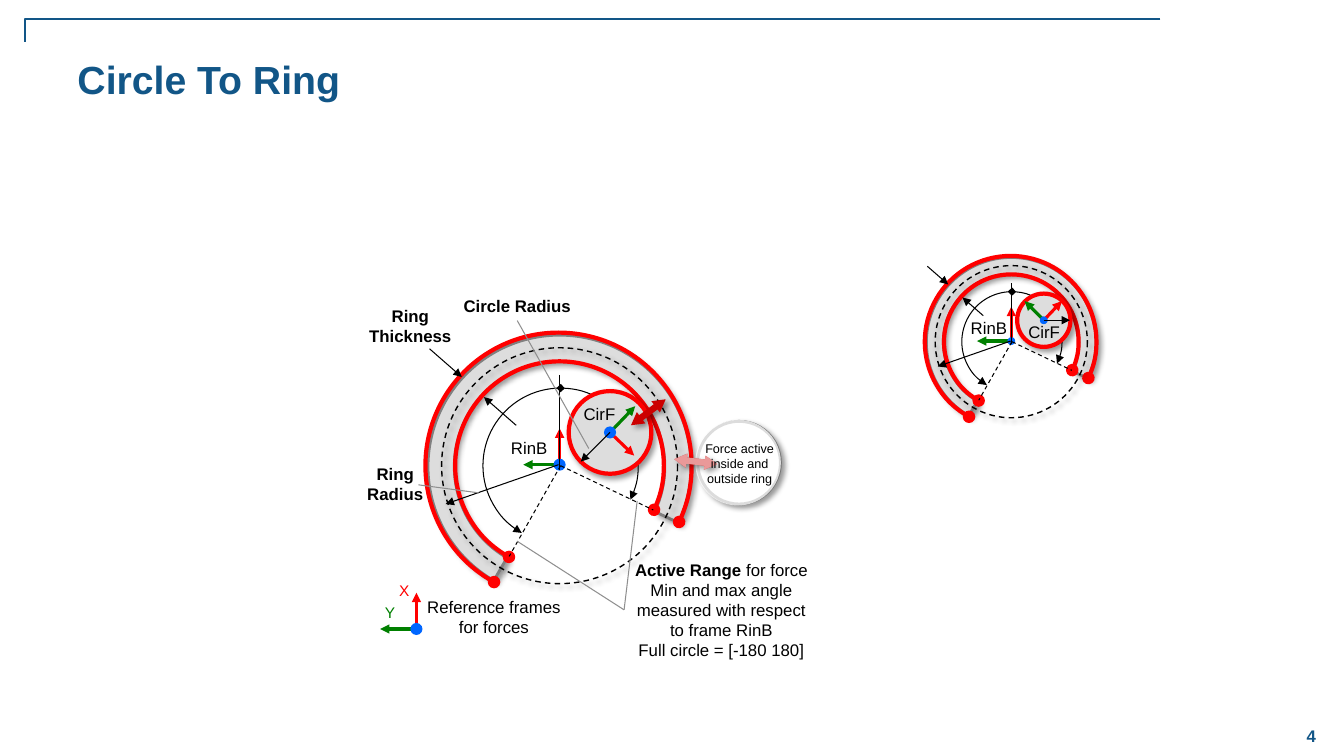
from pptx import Presentation
from pptx.dml.color import RGBColor
from pptx.enum.dml import MSO_LINE
from pptx.enum.shapes import MSO_CONNECTOR, MSO_SHAPE as Shape
from pptx.enum.text import MSO_ANCHOR as Anchor, PP_ALIGN as Align
from pptx.oxml import parse_xml
from pptx.oxml.ns import nsdecls, qn
from pptx.util import Inches, Pt

COLORS = {
    "navy": "125687", "black": "000000", "white": "FFFFFF", "red": "FF0000",
    "green": "008000", "blue": "0066FF", "gray": "DDDDDD", "edge": "808080",
    "ghost": "777777", "leader": "8F8F8F", "force": "CC0000",
}

HEADER = [(11.51, 0.19), (0.25, 0.19), (0.25, 0.42)]

MECHANISMS = [
    {"center": (5.55, 4.62), "scale": 1, "axis": 0.36,
     "ring_label": (4.97, 4.29), "circle_label": (5.69, 3.96),
     "green": (0.25, -0.26), "red": (0.24, 0.23), "radius": (-0.29, 0.29)},
    {"center": (10.03, 3.39), "scale": 0.645, "axis": 0.34,
     "ring_label": (9.53, 3.1), "circle_label": (10.1, 3.14),
     "green": (-0.19, -0.19), "red": (0.18, -0.19), "radius": (0.26, 0)},
]

LEADERS = [
    ((5.13, 3.18), (5.84, 4.45)),
    ((4.15, 4.81), (4.75, 4.89)),
    ((6.19, 6.05), (6.32, 4.97)),
    ((6.19, 6.05), (5.13, 5.37)),
]

TEXTS = [
    ((0.67, 0.5, 11.78, 1.08), [[("Circle To Ring", True)]],
     {"size": 28, "color": "navy", "align": Align.LEFT, "wrap": True}),
    ((12.67, 7.09, 0.67, 0.42), [[("4", True)]],
     {"color": "navy", "anchor": Anchor.MIDDLE}),
    ((6.19, 5.5, 1.93, 1.11),
     [[("Active Range ", True), ("for force", False)],
      [("Min and max angle\nmeasured with respect\nto frame RinB\n"
        "Full circle = [-180 180]", False)]], {}),
    ((4.49, 2.88, 1.28, 0.3), [[("Circle Radius", True)]], {}),
    ((3.54, 4.55, 0.76, 0.5), [[("Ring", True)], [("Radius", True)]], {}),
    ((3.56, 2.98, 1.02, 0.5), [[("Ring", True)], [("Thickness", True)]], {}),
    ((4.13, 5.87, 1.54, 0.5), [[("Reference frames\nfor forces", False)]], {}),
    ((3.86, 5.72, 0.31, 0.29), [[("X", False)]],
     {"size": 11, "color": "red", "align": Align.LEFT}),
    ((3.72, 5.93, 0.27, 0.29), [[("Y", False)]],
     {"size": 11, "color": "green", "align": Align.LEFT}),
    ((6.89, 4.32, 0.89, 0.56),
     [[("Force active\ninside and\noutside ring", False)]], {"size": 9}),
]

deck = Presentation()
deck.slide_width, deck.slide_height = Inches(13.33), Inches(7.5)
page = deck.slides.add_slide(deck.slide_layouts[6])


def rgb(name):
    return RGBColor.from_string(COLORS[name])


def style_line(line, color, width, dash=False, head=None, tail=None):
    line.color.rgb = rgb(color)
    line.width = Pt(width)
    if dash:
        line.dash_style = MSO_LINE.DASH
    properties = line.fill._xPr
    for tag, end in (("headEnd", head), ("tailEnd", tail)):
        if end:
            properties.append(parse_xml(f'<a:{tag} {nsdecls("a")} type="{end}"/>'))


def add_line(start, end, color="black", width=0.75, **ends):
    points = [Inches(value) for value in (*start, *end)]
    connector = page.shapes.add_connector(MSO_CONNECTOR.STRAIGHT, *points)
    style_line(connector.line, color, width, **ends)
    connector._element.spPr.append(parse_xml(f'<a:effectLst {nsdecls("a")}/>'))


def add_arrow(start, end, color="black", width=0.75):
    add_line(start, end, color, width, tail="triangle")


def add_figure(kind, center, size, fill=None, alpha=None, line=None,
               shadow=False, rotation=0, adjust=()):
    width, height = size if isinstance(size, tuple) else (size, size)
    left, top = center[0] - width / 2, center[1] - height / 2
    figure = page.shapes.add_shape(kind, *map(Inches, (left, top, width, height)))
    figure.rotation = rotation
    for index, value in enumerate(adjust):
        figure.adjustments[index] = value
    if fill:
        figure.fill.solid()
        figure.fill.fore_color.rgb = rgb(fill)
        if alpha:
            paint = figure._element.spPr.find(f'{qn("a:solidFill")}/{qn("a:srgbClr")}')
            paint.append(parse_xml(f'<a:alpha {nsdecls("a")} val="{alpha * 1000}"/>'))
    else:
        figure.fill.background()
    if line:
        style_line(figure.line, **line)
    else:
        figure.line.fill.background()
    figure.shadow.inherit = False
    if shadow:
        figure._element.spPr.find(qn("a:effectLst")).append(parse_xml(
            f'<a:outerShdw {nsdecls("a")} blurRad="{Pt(4)}" dist="{Pt(3)}" '
            'dir="2700000" algn="tl" rotWithShape="0"><a:srgbClr val="000000">'
            '<a:alpha val="40000"/></a:srgbClr></a:outerShdw>'))


def add_arc(center, size, start, end, rotation=0, **line):
    add_figure(Shape.ARC, center, size, line=line, rotation=rotation,
               adjust=(start * 0.6, end * 0.6))


def add_text(place, paragraphs, size=12, color="black", align=Align.CENTER,
             anchor=Anchor.TOP, wrap=False):
    frame = page.shapes.add_textbox(*map(Inches, place)).text_frame
    frame.word_wrap, frame.vertical_anchor = wrap, anchor
    for number, spans in enumerate(paragraphs):
        para = frame.add_paragraph() if number else frame.paragraphs[0]
        para.alignment = align
        for text, bold in spans:
            for row, words in enumerate(text.split("\n")):
                if row:
                    para.add_line_break()
                span = para.add_run()
                span.text = words
                for key, value in {"name": "Arial", "size": Pt(size), "bold": bold}.items():
                    setattr(span.font, key, value)
                span.font.color.rgb = rgb(color)


def add_frame(origin, length, dot):
    x, y = origin
    add_arrow(origin, (x, y - length), "red", 2.25)
    add_arrow(origin, (x - length, y), "green", 2.25)
    add_figure(Shape.OVAL, origin, dot, fill="blue")


def add_mechanism(center, scale, axis, ring_label, circle_label, green, red, radius):
    def at(x, y):
        return center[0] + x * scale, center[1] + y * scale

    edge = {"color": "red", "width": 3}
    ends = {"head": "oval", "tail": "oval"}
    add_figure(Shape.BLOCK_ARC, at(0, 0.01), 2.61 * scale, fill="gray", shadow=True,
               line={"color": "edge", "width": 2}, adjust=(72, 15.14, 0.1))
    add_frame(at(0, -0.01), axis, 0.12 * scale)
    add_text((*ring_label, 0.56, 0.3), [[("RinB", False)]], align=Align.LEFT)
    add_arc(at(0, 0), 2.07 * scale, 118.97, 25.03, **edge, **ends)
    for limit in ((0.93, 0.44), (-0.5, 0.9)):
        add_line(at(0.01, 0), at(*limit), dash=True)
    range_arc = {"rotation": 270, "color": "black", "width": 0.75}
    add_arc(at(0.01, 0), 1.54 * scale, 210, 359.86, head="triangle", **range_arc)
    add_arc(at(0.01, 0), 1.54 * scale, 0.09, 115.9, head="diamond", tail="triangle", **range_arc)
    add_line(at(0, -0.9), at(0, 0.04))
    hub = at(0.5, -0.33)
    add_figure(Shape.OVAL, hub, 0.82 * scale, fill="gray", line=edge, shadow=True)
    for reach, color in ((green, "green"), (red, "red")):
        add_arrow(hub, (hub[0] + reach[0], hub[1] + reach[1]), color, 2.25)
    add_figure(Shape.OVAL, hub, 0.12 * scale, fill="blue")
    add_text((*circle_label, 0.52, 0.3), [[("CirF", False)]], align=Align.LEFT)
    add_arrow(hub, (hub[0] + radius[0], hub[1] + radius[1]))
    add_arc(at(-0.01, 0), 2.64 * scale, 118.97, 25.03, **edge, **ends)
    add_figure(Shape.OVAL, at(0, 0), 2.34 * scale, rotation=180, shadow=True,
               line={"color": "black", "width": 1, "dash": True})
    add_arrow(at(-0.01, -0.01), at(-1.13, 0.38))
    add_arrow(at(-1.29, -1.16), at(-0.97, -0.88))
    add_arrow(at(-0.43, -0.4), at(-0.75, -0.68))


def add_force(center, rotation, **paint):
    add_figure(Shape.LEFT_RIGHT_ARROW, center, (0.43, 0.14), rotation=rotation,
               adjust=(0.45, 0.89), **paint)


builder = page.shapes.build_freeform(*map(Inches, HEADER[0]), scale=1.0)
builder.add_line_segments([tuple(map(Inches, point)) for point in HEADER[1:]], close=False)
header = builder.convert_to_shape()
header.fill.background()
header.shadow.inherit = False
style_line(header.line, "navy", 1)

for mechanism in MECHANISMS:
    add_mechanism(**mechanism)

add_force((6.43, 4.09), 143.2, fill="force", shadow=True)
add_figure(Shape.OVAL, (7.33, 4.59), 0.82, fill="white", shadow=True,
           line={"color": "ghost", "width": 2})
add_figure(Shape.OVAL, (7.32, 4.59), 0.85, fill="white", alpha=75)
add_force((6.9, 4.58), 6.5, fill="force", shadow=True)
add_force((6.9, 4.58), 6.5, fill="white", alpha=60)
add_frame((4.13, 6.24), 0.36, 0.12)
for start, end in LEADERS:
    add_line(start, end, "leader")
for place, paragraphs, options in TEXTS:
    add_text(place, paragraphs, **options)

deck.save("out.pptx")
